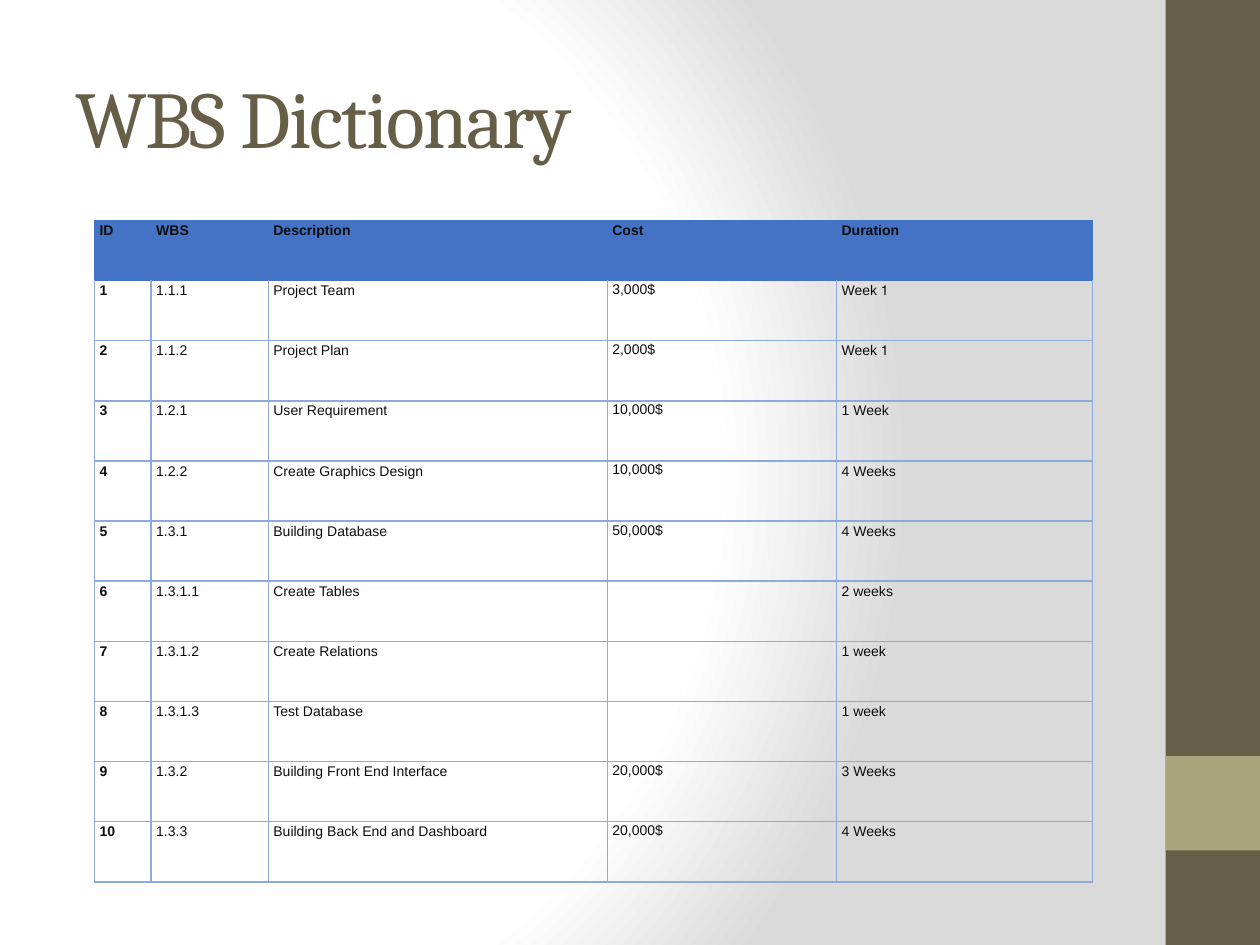
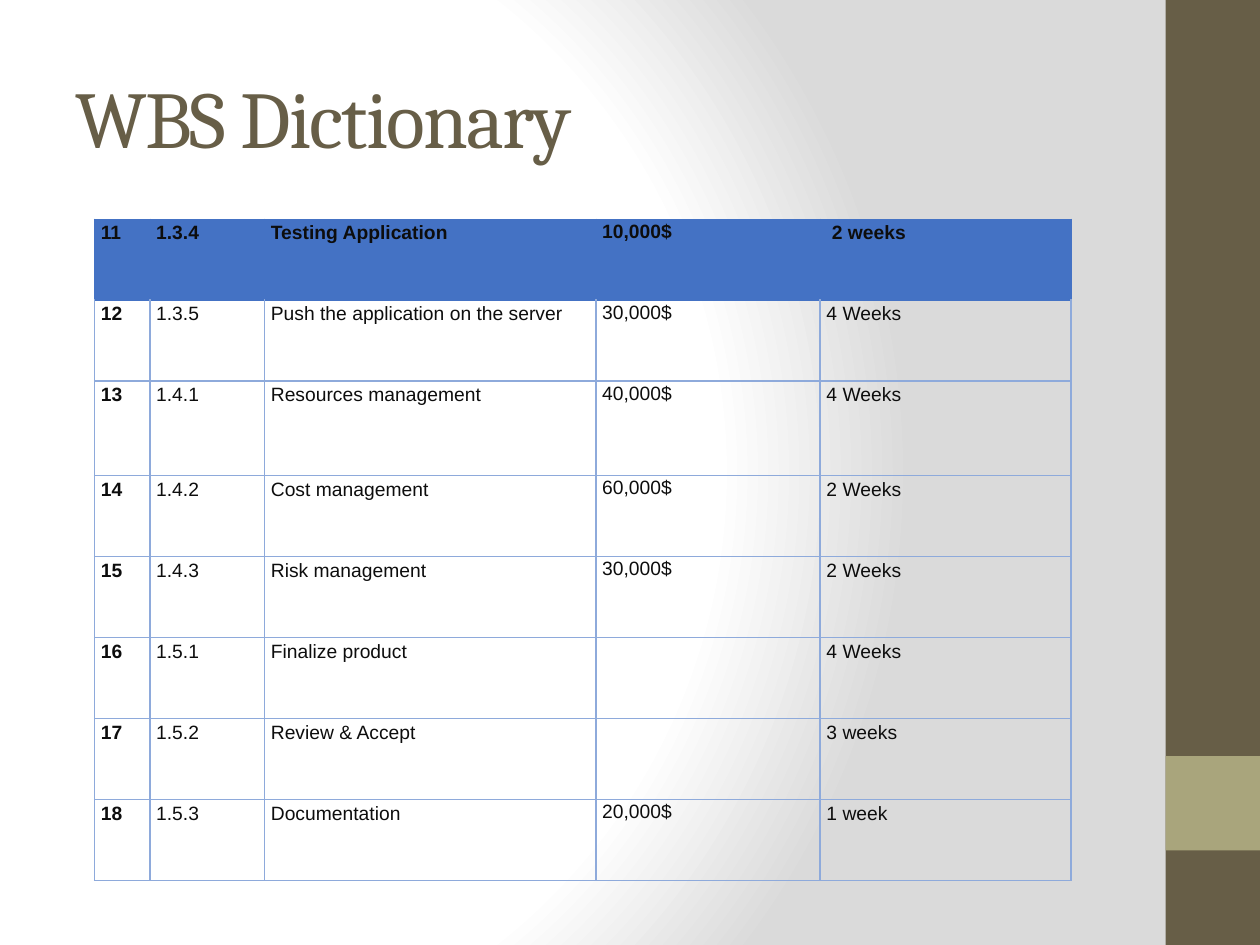
from dataclasses import dataclass
from typing import Optional

from pptx import Presentation
from pptx.dml.color import RGBColor
from pptx.enum.shapes import MSO_SHAPE as Shape
from pptx.enum.text import MSO_ANCHOR as Anchor
from pptx.oxml import parse_xml
from pptx.oxml.ns import nsdecls
from pptx.util import Inches, Pt

COLORS = {
    "brown": "675E47",
    "olive": "A9A57C",
    "header": "4472C4",
    "grid": "8EAADB",
    "ink": "0D0D0D",
    "paper": "FFFFFF",
    "shade": "DADADA",
}
TITLE_FONT, TABLE_FONT = "Cambria", "Arial"
COST_COLUMN = 3
LINE_SPACING, COST_LINE_SPACING = 1.15, 1.07


@dataclass(frozen=True)
class Band:
    top: float
    height: float
    color: str


@dataclass(frozen=True)
class Task:
    number: str
    wbs: str
    description: str
    cost: str
    duration: str
    right_to_left: bool = False

    def texts(self) -> tuple[str, ...]:
        return self.number, self.wbs, self.description, self.cost, self.duration


@dataclass(frozen=True)
class Dictionary:
    top: float
    columns: tuple[float, ...]
    font_size: int
    side_margin: float
    rows: tuple[Task, ...]
    tall_row: Optional[int] = None


SIDE_BANDS = (Band(0, 7.5, "brown"), Band(6, 0.75, "olive"))
TABLE_LEFT, TABLE_HEIGHT, TALL_ROW_HEIGHT = 0.75, 5.25, 0.75

DICTIONARIES = (
    Dictionary(1.75, (0.45, 0.93, 2.69, 1.82, 2.03), 8, 0.04, (
        Task("ID", "WBS", "Description", "Cost", "Duration"),
        Task("1", "1.1.1", "Project Team", "3,000$", "1 Week", True),
        Task("2", "1.1.2", "Project Plan", "2,000$", "1 Week", True),
        Task("3", "1.2.1", "User Requirement", "10,000$", "1 Week"),
        Task("4", "1.2.2", "Create Graphics Design", "10,000$", "4 Weeks"),
        Task("5", "1.3.1", "Building Database", "50,000$", "4 Weeks"),
        Task("6", "1.3.1.1", "Create Tables", "", "2 weeks"),
        Task("7", "1.3.1.2", "Create Relations", "", "1 week"),
        Task("8", "1.3.1.3", "Test Database", "", "1 week"),
        Task("9", "1.3.2", "Building Front End Interface", "20,000$", "3 Weeks"),
        Task("10", "1.3.3", "Building Back End and Dashboard", "20,000$", "4 Weeks"),
    )),
    Dictionary(1.74, (0.44, 0.91, 2.63, 1.78, 1.99), 11, 0.05, (
        Task("11", "1.3.4", "Testing Application", "10,000$", " 2 weeks"),
        Task("12", "1.3.5", "Push the application on the server", "30,000$", "4 Weeks"),
        Task("13", "1.4.1", "Resources management", "40,000$", "4 Weeks"),
        Task("14", "1.4.2", "Cost management", "60,000$", "2 Weeks"),
        Task("15", "1.4.3", "Risk management", "30,000$", "2 Weeks"),
        Task("16", "1.5.1", "Finalize product", "", "4 Weeks"),
        Task("17", "1.5.2", "Review & Accept", "", "3 weeks"),
        Task("18", "1.5.3", "Documentation", "20,000$", "1 week"),
    ), tall_row=2),
)


def rgb(name: str) -> RGBColor:
    return RGBColor.from_string(COLORS[name])


def add_background(slide) -> None:
    """Radial gradient that darkens towards the right."""
    stops = "".join(
        f'<a:gs pos="{percent * 1000}"><a:srgbClr val="{COLORS[name]}"/></a:gs>'
        for percent, name in ((0, "paper"), (75, "paper"), (100, "shade"))
    )
    slide.element.cSld.insert(0, parse_xml(
        f'<p:bg {nsdecls("p", "a")}><p:bgPr><a:gradFill rotWithShape="1">'
        f'<a:gsLst>{stops}</a:gsLst><a:path path="circle">'
        '<a:fillToRect l="20000" t="50000" r="100000" b="50000"/></a:path>'
        '</a:gradFill><a:effectLst/></p:bgPr></p:bg>'
    ))


def add_band(slide, band: Band) -> None:
    bar = slide.shapes.add_shape(
        Shape.RECTANGLE, Inches(9.25), Inches(band.top), Inches(0.75), Inches(band.height))
    bar.shadow.inherit = False
    bar.fill.solid()
    bar.fill.fore_color.rgb = rgb(band.color)
    bar.line.fill.background()


def style_run(run, font: str, size: int, color: str, bold: bool = False) -> None:
    run.font.name = font
    run.font.size = Pt(size)
    run.font.bold = bold
    run.font.color.rgb = rgb(color)


def add_title(slide, text: str) -> None:
    frame = slide.shapes.add_textbox(
        Inches(0.5), Inches(0.3), Inches(8.33), Inches(1.25)).text_frame
    frame.word_wrap = True
    frame.vertical_anchor = Anchor.MIDDLE
    run = frame.paragraphs[0].add_run()
    run.text = text
    style_run(run, TITLE_FONT, 46, "brown")
    run.font._element.set("spc", "-100")


def set_borders(cell, row: int) -> None:
    """Blue around the header row, the lighter grid colour elsewhere."""
    properties = cell._tc.get_or_add_tcPr()
    for side in "LRTB":
        in_header = row == 0 or (row == 1 and side == "T")
        color = COLORS["header" if in_header else "grid"]
        properties.append(parse_xml(
            f'<a:ln{side} {nsdecls("a")} w="{Pt(1)}"><a:solidFill>'
            f'<a:srgbClr val="{color}"/></a:solidFill></a:ln{side}>'
        ))


def fill_cell(cell, text: str, row: int, column: int, dictionary: Dictionary) -> None:
    set_borders(cell, row)
    if row == 0:
        cell.fill.solid()
        cell.fill.fore_color.rgb = rgb("header")
    else:
        cell.fill.background()
    cell.margin_left = cell.margin_right = Inches(dictionary.side_margin)
    cell.margin_top = cell.margin_bottom = 0
    if not text:
        return
    paragraph = cell.text_frame.paragraphs[0]
    paragraph.line_spacing = COST_LINE_SPACING if column == COST_COLUMN and text != "Cost" else LINE_SPACING
    paragraph.space_after = Pt(10)
    run = paragraph.add_run()
    run.text = text
    style_run(run, TABLE_FONT, dictionary.font_size, "ink", bold=row == 0 or column == 0)


def set_right_to_left(cell) -> None:
    properties = cell.text_frame.paragraphs[0]._p.get_or_add_pPr()
    properties.set("algn", "l")
    properties.set("rtl", "1")


def add_dictionary(slide, dictionary: Dictionary) -> None:
    rows, columns = dictionary.rows, dictionary.columns
    table = slide.shapes.add_table(
        len(rows), len(columns), Inches(TABLE_LEFT), Inches(dictionary.top),
        Inches(sum(columns)), Inches(TABLE_HEIGHT)).table
    table.first_row = table.horz_banding = False
    for column, width in zip(table.columns, columns):
        column.width = Inches(width)

    row_height = TABLE_HEIGHT / len(rows)
    if dictionary.tall_row is not None:
        row_height = (TABLE_HEIGHT - TALL_ROW_HEIGHT) / (len(rows) - 1)
    for r, task in enumerate(rows):
        table.rows[r].height = Inches(TALL_ROW_HEIGHT if r == dictionary.tall_row else row_height)
        for c, text in enumerate(task.texts()):
            fill_cell(table.cell(r, c), text, r, c, dictionary)
        if task.right_to_left:
            set_right_to_left(table.cell(r, len(columns) - 1))


def main() -> None:
    deck = Presentation()
    deck.slide_width, deck.slide_height = Inches(10), Inches(7.5)
    for dictionary in DICTIONARIES:
        slide = deck.slides.add_slide(deck.slide_layouts[6])
        add_background(slide)
        for band in SIDE_BANDS:
            add_band(slide, band)
        add_title(slide, "WBS Dictionary")
        add_dictionary(slide, dictionary)
    deck.save("out.pptx")


if __name__ == "__main__":
    main()
